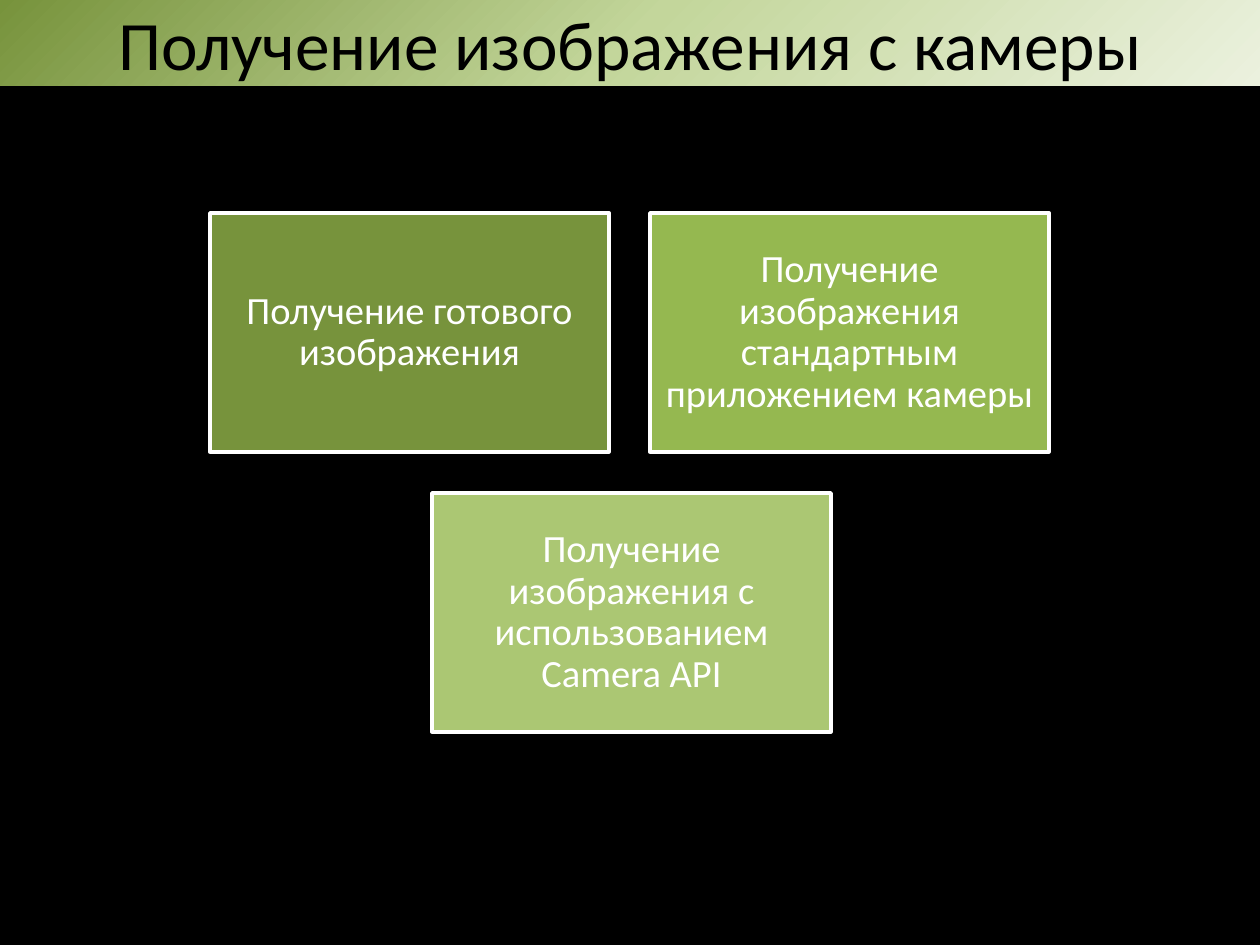
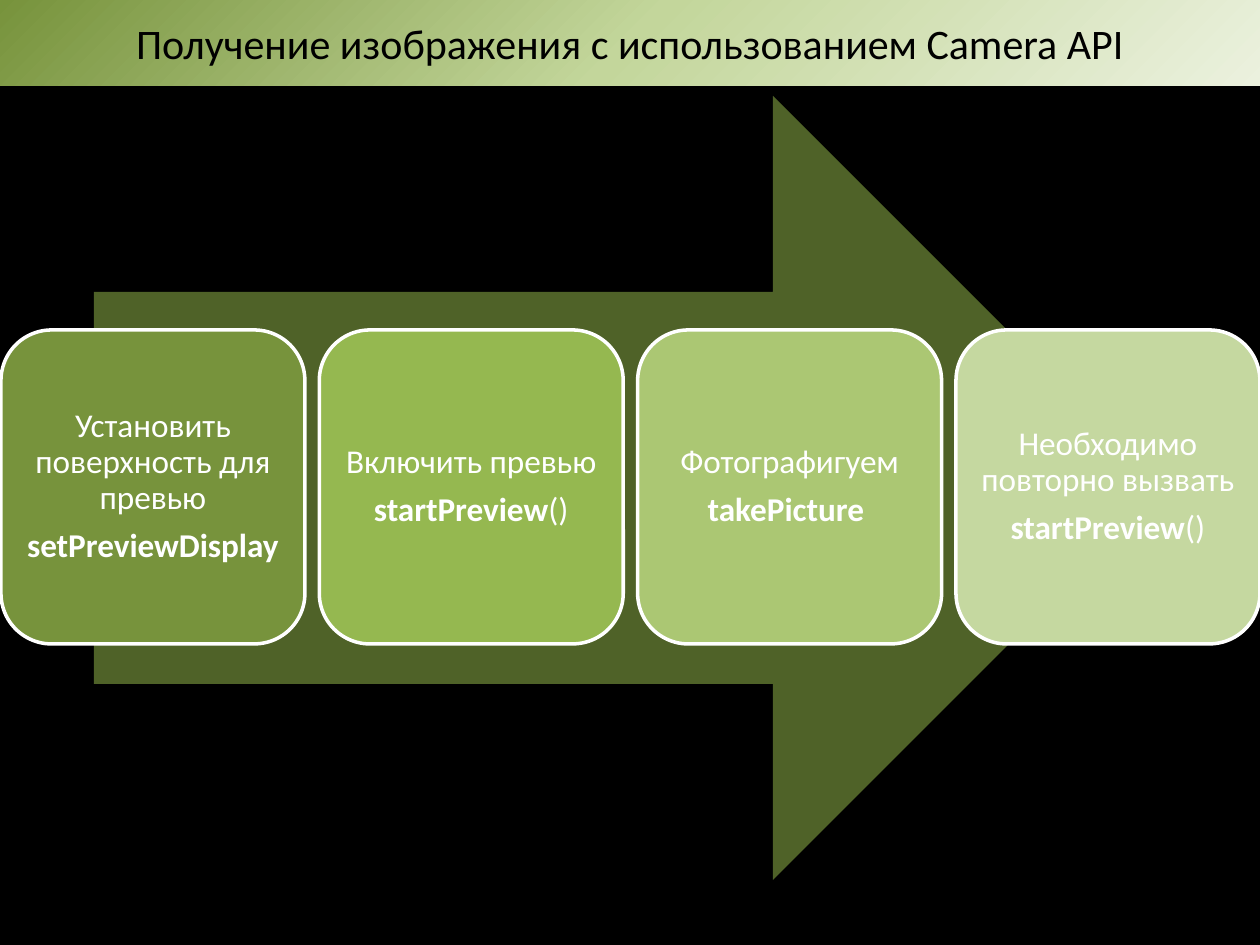
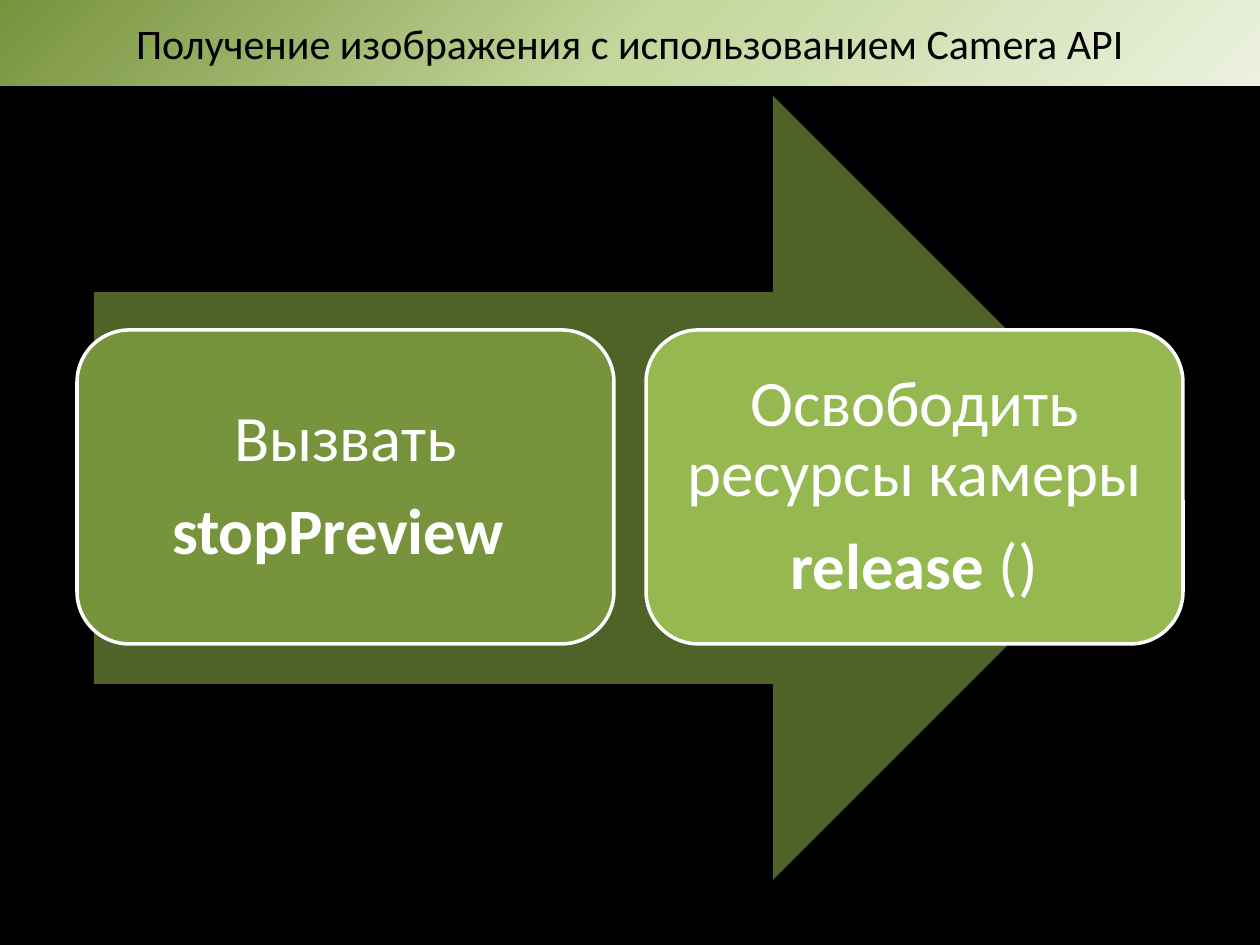
from lxml import etree
from pptx import Presentation
from pptx.dml.color import RGBColor
from pptx.enum.shapes import MSO_SHAPE
from pptx.enum.text import MSO_ANCHOR, MSO_AUTO_SIZE, PP_ALIGN
from pptx.oxml.ns import qn
from pptx.util import Emu, Pt

PX = 914400 / 126
SLIDE_W, SLIDE_H = 1260, 945
FONT = "Calibri"
COLORS = {
    "background": "000000",
    "title": "000000",
    "white": "FFFFFF",
    "arrow": "4F6228",
    "band_start": "77933C",
    "band_middle": "C3D69B",
    "band_end": "EBF1DE",
    "step1": "77933C",
    "step2": "95B850",
    "step3": "ABC773",
    "step4": "C5D8A0",
}
STEP_COLORS = ["step1", "step2", "step3", "step4"]
BAND_STOPS = [(0, "band_start"), (50, "band_middle"), (100, "band_end")]
CAMERA_API_TITLE = "Получение изображения с использованием Camera API"


def px(value):
    return Emu(round(value * PX))


def rgb(name):
    return RGBColor.from_string(COLORS[name])


def style_run(run, size, color, bold=False):
    run.font.name = FONT
    run.font.size = Pt(size)
    run.font.bold = bold
    run.font.color.rgb = rgb(color)


def fill_band(shape):
    gradient = etree.Element(qn("a:gradFill"), rotWithShape="1")
    stops = etree.SubElement(gradient, qn("a:gsLst"))
    for percent, color in BAND_STOPS:
        stop = etree.SubElement(stops, qn("a:gs"), pos=str(percent * 1000))
        etree.SubElement(stop, qn("a:srgbClr"), val=COLORS[color])
    etree.SubElement(gradient, qn("a:lin"), ang=str(45 * 60000), scaled="0")
    shape.element.spPr.append(gradient)


def add_titled_slide(prs, text, size):
    slide = prs.slides.add_slide(prs.slide_layouts[5])
    title = slide.shapes.title
    title.left, title.top, title.width, title.height = (
        px(0), px(0), px(SLIDE_W), px(86))
    fill_band(title)
    frame = title.text_frame
    frame.auto_size = MSO_AUTO_SIZE.NONE
    frame.vertical_anchor = MSO_ANCHOR.MIDDLE
    paragraph = frame.paragraphs[0]
    paragraph.alignment = PP_ALIGN.CENTER
    run = paragraph.add_run()
    run.text = text
    style_run(run, size, "title")
    return slide


def add_filled_shape(slide, kind, box, color):
    shape = slide.shapes.add_shape(kind, *map(px, box))
    shape.shadow.inherit = False
    shape.fill.solid()
    shape.fill.fore_color.rgb = rgb(color)
    shape.line.fill.background()
    return shape


def add_card(slide, kind, box, color, paragraphs, size, inset):
    card = add_filled_shape(slide, kind, box, color)
    card.line.color.rgb = rgb("white")
    card.line.width = Pt(2)
    frame = card.text_frame
    frame.word_wrap = True
    frame.vertical_anchor = MSO_ANCHOR.MIDDLE
    frame.margin_left = frame.margin_right = px(inset)
    frame.margin_top = frame.margin_bottom = px(inset)
    for index, runs in enumerate(paragraphs):
        paragraph = frame.add_paragraph() if index else frame.paragraphs[0]
        paragraph.alignment = PP_ALIGN.CENTER
        paragraph.line_spacing = 0.9
        paragraph.space_after = Pt(size * 0.35)
        for text, bold in runs:
            run = paragraph.add_run()
            run.text = text
            style_run(run, size, "white", bold)


def add_process(slide, steps, left, right, width, size, inset):
    add_filled_shape(slide, MSO_SHAPE.RIGHT_ARROW, (94, 96, 1071, 784), "arrow")
    pitch = (right - left - width) / (len(steps) - 1)
    for index, (label, method, suffix) in enumerate(steps):
        call = [(method, True)] + ([(suffix, False)] if suffix else [])
        add_card(slide, MSO_SHAPE.ROUNDED_RECTANGLE,
                 (left + index * pitch, 330, width, 314), STEP_COLORS[index],
                 [[(label, False)], call], size, inset)


def add_options(slide):
    options = [
        (210, 213, "Получение готового изображения"),
        (650, 213, "Получение изображения стандартным приложением камеры"),
        (432, 493, "Получение изображения с использованием Camera API"),
    ]
    for color, (left, top, text) in zip(STEP_COLORS, options):
        add_card(slide, MSO_SHAPE.RECTANGLE, (left, top, 399, 239), color,
                 [[(text, False)]], 22, 11)


def main():
    prs = Presentation()
    prs.slide_width, prs.slide_height = px(SLIDE_W), px(SLIDE_H)
    background = prs.slide_master.background.fill
    background.solid()
    background.fore_color.rgb = rgb("background")

    add_options(add_titled_slide(prs, "Получение изображения с камеры", 39.6))

    preview = add_titled_slide(prs, CAMERA_API_TITLE, 24)
    add_process(preview, [
        ("Установить поверхность для превью", "setPreviewDisplay", ""),
        ("Включить превью", "startPreview", "()"),
        ("Фотографигуем", "takePicture\u00a0", ""),
        ("Необходимо повторно вызвать", "startPreview", "()"),
    ], left=1, right=1260, width=304, size=19, inset=10)

    release = add_titled_slide(prs, CAMERA_API_TITLE, 24)
    add_process(release, [
        ("Вызвать", "stopPreview\u00a0", ""),
        ("Освободить ресурсы камеры", "release\u00a0", "()"),
    ], left=77, right=1183, width=537, size=37, inset=19)

    prs.save("out.pptx")


main()
